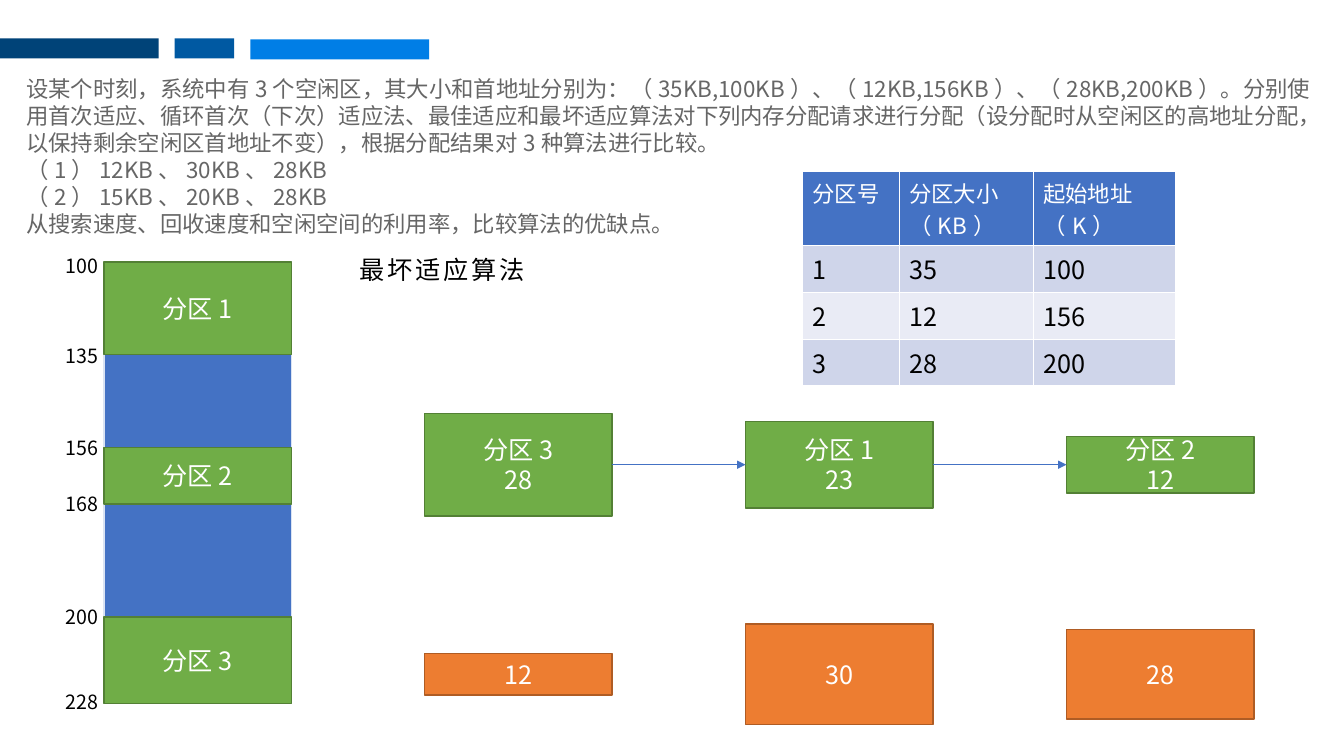
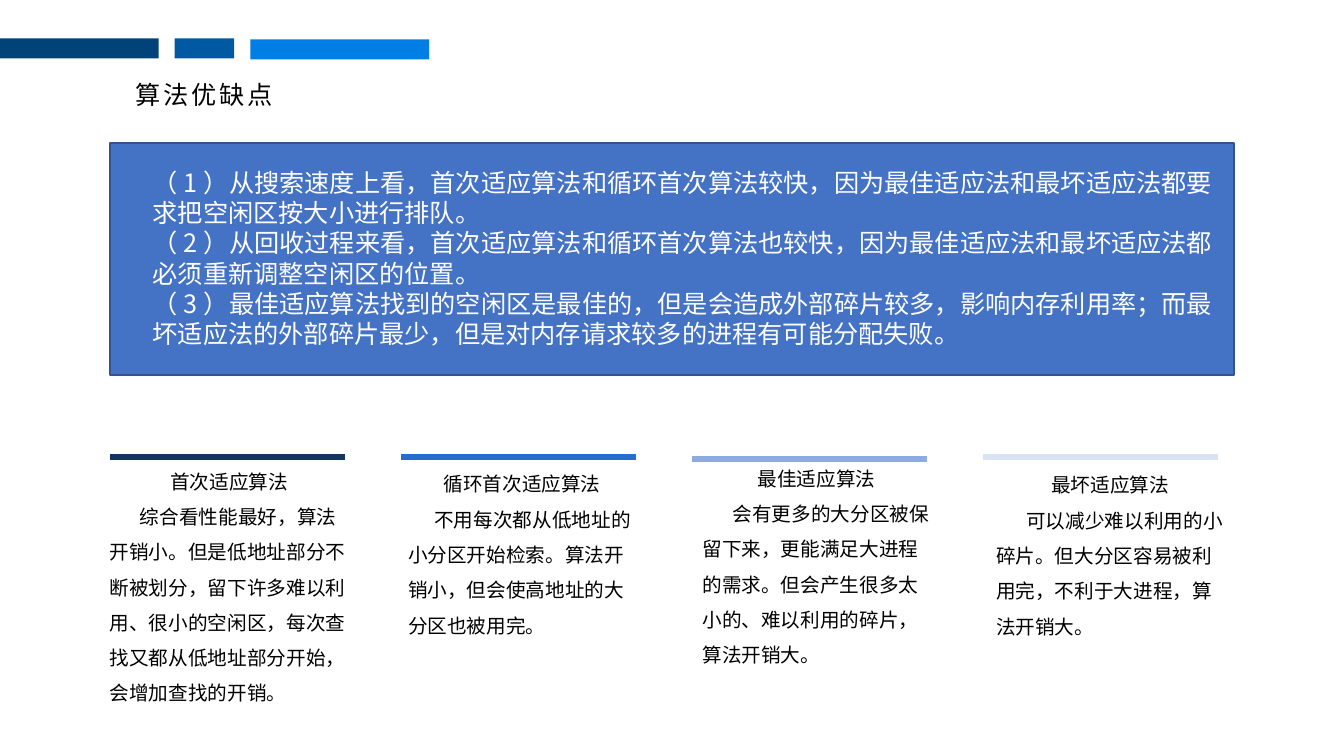
from lxml import etree
from pptx import Presentation
from pptx import util as u
from pptx.dml import color
from pptx.enum import shapes, text
from pptx.oxml import ns

COLORS = {
    "navy": "004378", "mid": "0059A2", "bright": "007EE6",
    "blue": "4472C4", "blue_edge": "325491", "pale": "DAE3F3",
    "green": "70AD47", "green_edge": "538035",
    "orange": "ED7D31", "orange_edge": "AF5C24",
    "white": "FFFFFF", "black": "000000", "grey": "666666",
    "rule1": "123564", "rule2": "256DD0", "rule3": "8FAADC", "rule4": "DAE3F3",
    "odd": "CFD5EA", "even": "E9EBF5",
}
RGB = {k: color.RGBColor.from_string(v) for k, v in COLORS.items()}
FONT = "Noto Sans CJK SC"
CENTER = text.PP_ALIGN.CENTER
LEFT = text.PP_ALIGN.LEFT

prs = Presentation()
prs.slide_width, prs.slide_height = u.Inches(13.33), u.Inches(7.5)
COL, ROW = prs.slide_width / 40, prs.slide_height / 30


def box(s, x, y, w, h, fill=None, edge=None):
    at = [int(x * COL), int(y * ROW), int(w * COL), int(h * ROW)]
    if fill is None:
        sp = s.shapes.add_textbox(*at)
        sp.text_frame.word_wrap = True
        return sp
    sp = s.shapes.add_shape(shapes.MSO_SHAPE.RECTANGLE, *at)
    sp.shadow.inherit = False
    sp.fill.solid()
    sp.fill.fore_color.rgb = RGB[fill]
    if edge:
        sp.line.color.rgb = RGB[edge]
        sp.line.width = u.Pt(1)
    else:
        sp.line.fill.background()
    return sp


def write(tf, lines, size, ink, align=LEFT, spacing=1.0, track=0):
    fmt = {"name": FONT, "size": u.Pt(size), "bold": False}
    for i, line in enumerate(lines):
        p = tf.paragraphs[0] if i == 0 else tf.add_paragraph()
        for key, value in {"alignment": align, "line_spacing": spacing}.items():
            setattr(p, key, value)
        r = p.add_run()
        r.text = line
        for key, value in fmt.items():
            setattr(r.font, key, value)
        r.font.color.rgb = RGB[ink]
        rPr = r.font._element
        if track:
            rPr.set("spc", str(track))
        etree.SubElement(rPr, ns.qn("a:ea")).set("typeface", FONT)
    return tf


TITLES = [("最坏适应算法", 10.35, 9.88, 5.64), ("算法优缺点", 3.69, 2.96, 4.8)]
BANDS = [("navy", 0, 1.52, 4.72), ("mid", 5.2, 1.52, 1.77), ("bright", 7.45, 1.56, 5.32)]
slides = []
for title, x, y, w in TITLES:
    s = prs.slides.add_slide(prs.slide_layouts[6])
    for fill, bx, by, bw in BANDS:
        box(s, bx, by, bw, 0.8, fill)
    slides.append(s)

s = slides[0]
QUESTION = [
    "设某个时刻，系统中有3个空闲区，其大小和首地址分别为：（35KB,100KB）、（12KB,156KB）、（28KB,200KB）。"
    "分别使用首次适应、循环首次（下次）适应法、最佳适应和最坏适应算法对下列内存分配请求进行分配"
    "（设分配时从空闲区的高地址分配，以保持剩余空闲区首地址不变），根据分配结果对3种算法进行比较。",
    "（1）12KB、30KB、28KB",
    "（2）15KB、20KB、28KB",
    "从搜索速度、回收速度和空闲空间的利用率，比较算法的优缺点。",
]
write(box(s, 0.49, 2.8, 39.21, 6.88).text_frame, QUESTION, 16, "grey")

TABLE = [
    ["分区号", "分区大小（KB）", "起始地址（K）"],
    ["1", "35", "100"],
    ["2", "12", "156"],
    ["3", "28", "200"],
]
WIDTHS, HEIGHTS = [2.88, 3.99, 4.23], [2.94, 1.86, 1.86, 1.86]
table = s.shapes.add_table(4, 3, int(23.88 * COL), int(6.8 * ROW),
                           int(sum(WIDTHS) * COL), int(sum(HEIGHTS) * ROW)).table
for column, w in zip(table.columns, WIDTHS):
    column.width = int(w * COL)
for i, (row, h) in enumerate(zip(table.rows, HEIGHTS)):
    row.height = int(h * ROW)
    fill = "blue" if i == 0 else ("odd" if i % 2 else "even")
    size, ink = (16, "white") if i == 0 else (18, "black")
    for cell, value in zip(row.cells, TABLE[i]):
        cell.fill.solid()
        cell.fill.fore_color.rgb = RGB[fill]
        write(cell.text_frame, [value], size, ink)

EDGES = [("100", 10.4, 9.88), ("135", 14.08, 13.44), ("156", 17.76, 17.12),
         ("168", 20, 19.32), ("200", 24.48, 23.8), ("228", 27.92, 27.2)]
top, bottom = EDGES[0][1], EDGES[-1][1]
box(s, 3.09, top, 5.58, bottom - top, "blue", "pale")
for i in range(0, len(EDGES), 2):
    start, end = EDGES[i][1], EDGES[i + 1][1]
    sp = box(s, 3.09, start, 5.58, end - start, "green", "green_edge")
    write(sp.text_frame, [f"分区{i // 2 + 1}"], 18, "white", CENTER)
for address, edge, y in EDGES:
    write(box(s, 1.65, y, 2.22, 1.36).text_frame, [address], 14, "black")

LANES = [
    ("green", 18.44, [(["分区3", "28"], 4.08), (["分区1", "23"], 3.44), (["分区2", "12"], 2.24)]),
    ("orange", 26.76, [(["12"], 1.64), (["30"], 4), (["28"], 3.56)]),
]
lanes = {}
for fill, middle, blocks in LANES:
    lanes[fill] = []
    for i, (lines, h) in enumerate(blocks):
        sp = box(s, 12.64 + 9.55 * i, middle - h / 2, 5.58, h, fill, fill + "_edge")
        write(sp.text_frame, lines, 18, "white", CENTER)
        lanes[fill].append(sp)

links = []
for a, b in zip(lanes["green"], lanes["green"][1:]):
    c = s.shapes.add_connector(shapes.MSO_CONNECTOR.STRAIGHT, 0, 0, 0, 0)
    c.begin_connect(a, 3)
    c.end_connect(b, 1)
    links.append((c, "blue", 0.5, True))

s = slides[1]
box(s, 3.28, 5.68, 33.45, 9.2, "blue", "blue_edge")
SUMMARY = [
    "（1）从搜索速度上看，首次适应算法和循环首次算法较快，因为最佳适应法和最坏适应法都要求把空闲区按大小进行排队。",
    "（2）从回收过程来看，首次适应算法和循环首次算法也较快，因为最佳适应法和最坏适应法都必须重新调整空闲区的位置。",
    "（3）最佳适应算法找到的空闲区是最佳的，但是会造成外部碎片较多，影响内存利用率；"
    "而最坏适应法的外部碎片最少，但是对内存请求较多的进程有可能分配失败。",
]
write(box(s, 4.25, 6.44, 32.58, 7.68).text_frame, SUMMARY, 18, "white")

ALGORITHMS = [
    ("首次适应算法", 2.97, 18.44, 7.71, 1.0, 0.3,
     "综合看性能最好，算法开销小。但是低地址部分不断被划分，留下许多难以利用、很小的空闲区，"
     "每次查找又都从低地址部分开始，会增加查找的开销。"),
    ("循环首次适应算法", 11.85, 18.08, 7.38, 1.5, 0.26,
     "不用每次都从低地址的小分区开始检索。算法开销小，但会使高地址的大分区也被用完。"),
    ("最佳适应算法", 20.61, 18.32, 7.38, 1.0, 0.3,
     "会有更多的大分区被保留下来，更能满足大进程的需求。但会产生很多太小的、难以利用的碎片，算法开销大。"),
    ("最坏适应算法", 29.35, 18.12, 7.38, 1.5, 0.3,
     "可以减少难以利用的小碎片。但大分区容易被利用完，不利于大进程，算法开销大。"),
]
for i, (name, x, y, w, lead, indent, note) in enumerate(ALGORITHMS):
    left, level = 3.28 + 8.66 * i, 18.22 if i == 2 else 18.14
    c = s.shapes.add_connector(shapes.MSO_CONNECTOR.STRAIGHT, int(left * COL), int(level * ROW),
                               int((left + 7) * COL), int(level * ROW))
    links.append((c, f"rule{i + 1}", 4.5, False))
    tf = write(box(s, x, y, w, 9.6).text_frame, [name, note], 14, "black", spacing=1.5)
    head, body = tf.paragraphs
    head.alignment, head.line_spacing = CENTER, lead
    body._p.get_or_add_pPr().set("indent", str(u.Inches(indent)))

for s, (title, x, y, w) in zip(slides, TITLES):
    tf = box(s, x, y, w, 1.6).text_frame
    tf.word_wrap = False
    write(tf, [title], 18, "black", CENTER, track=200)

for c, ink, width, arrow in links:
    c.line.color.rgb = RGB[ink]
    c.line.width = u.Pt(width)
    if arrow:
        etree.SubElement(c.line._get_or_add_ln(), ns.qn("a:tailEnd")).set("type", "triangle")
    etree.SubElement(c._element.spPr, ns.qn("a:effectLst"))

prs.save("out.pptx")
